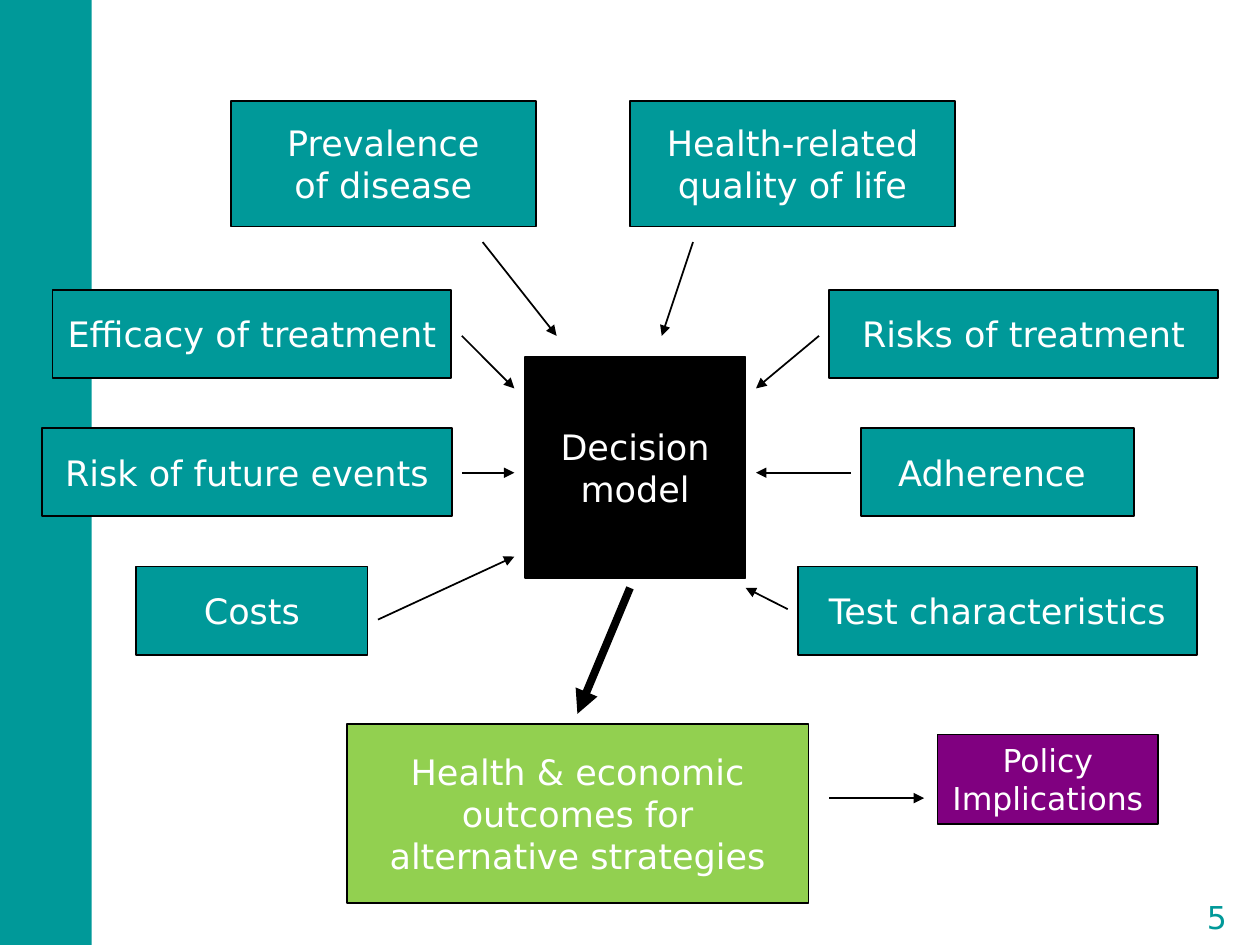
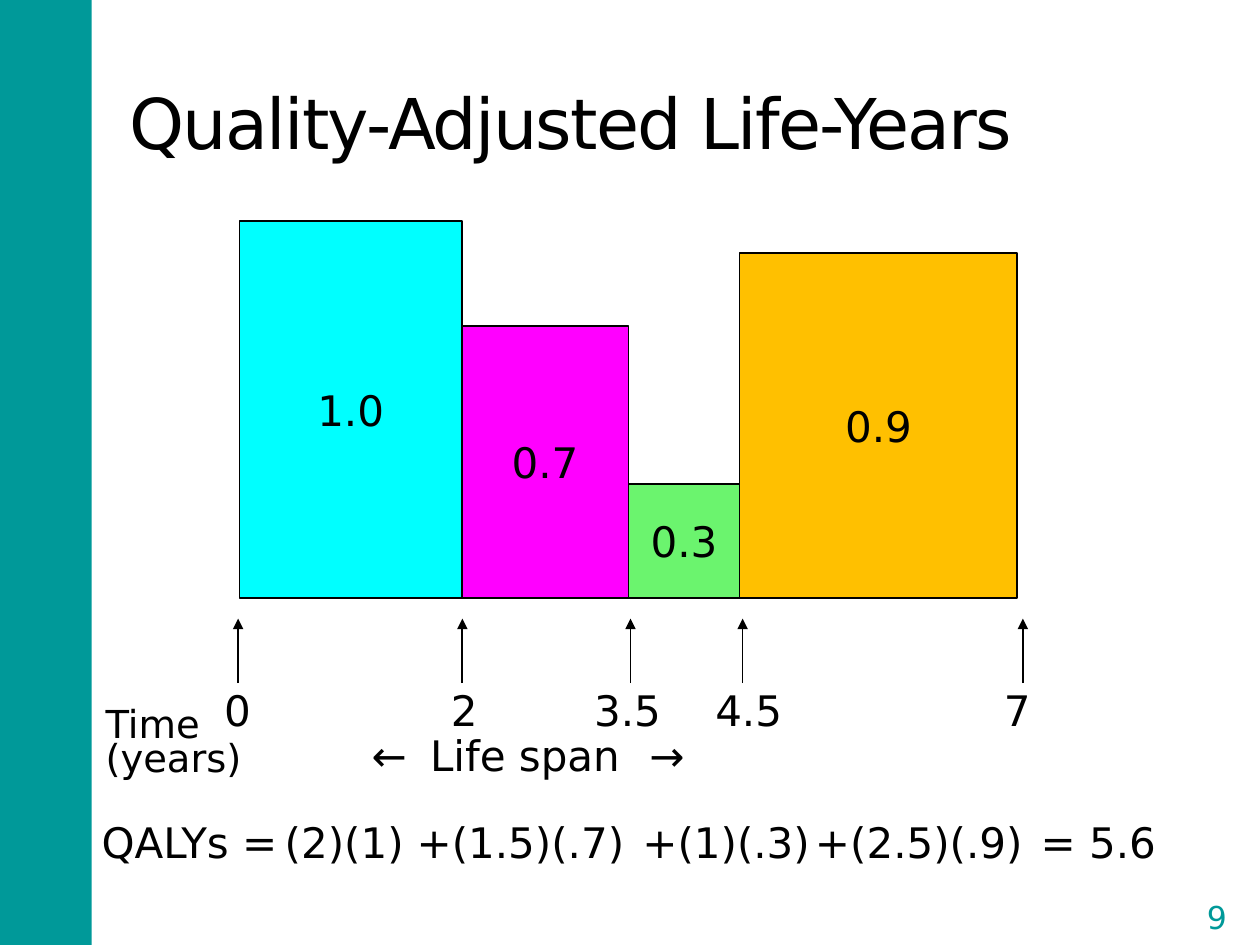
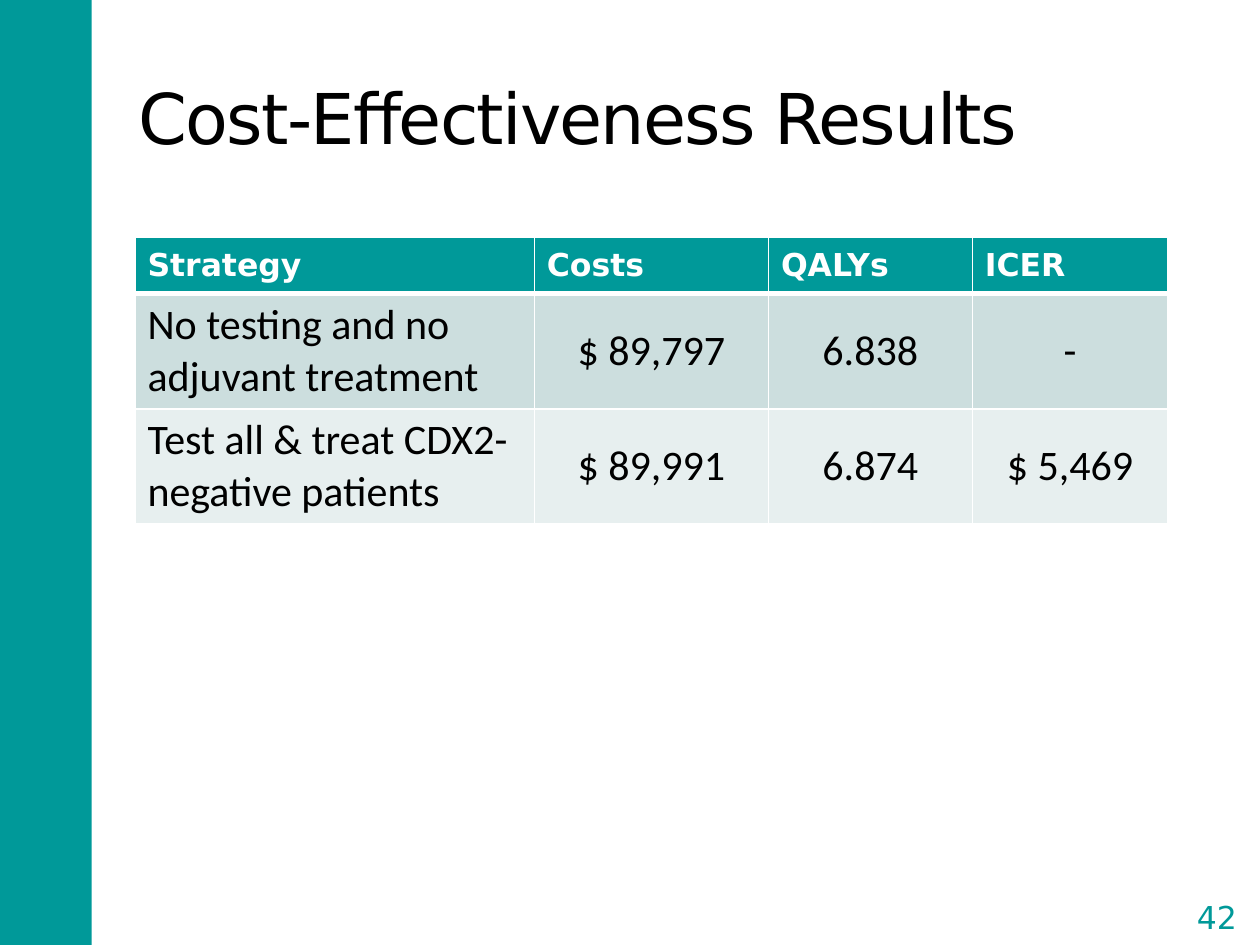
from dataclasses import dataclass

from lxml.etree import SubElement
from pptx import Presentation
from pptx.dml.color import RGBColor
from pptx.enum.shapes import MSO_CONNECTOR, MSO_SHAPE
from pptx.enum.text import MSO_ANCHOR, MSO_AUTO_SIZE, PP_ALIGN
from pptx.oxml.ns import qn
from pptx.util import Cm, Pt


@dataclass(frozen=True)
class Theme:
    # Colours
    teal: str = "009999"
    black: str = "000000"
    white: str = "FFFFFF"
    purple: str = "800080"
    green: str = "92D050"
    cyan: str = "00FFFF"
    magenta: str = "FF00FF"
    mint: str = "6BF46E"
    amber: str = "FFC000"
    row_tints: tuple = ("CCDEDE", "E7EFEF")
    # Fonts and type sizes
    font: str = "DejaVu Sans"
    cell_font: str = "Calibri"
    title: int = 40
    large: int = 24
    axis: int = 22
    box: int = 20
    small: int = 18


def apply(obj, values):
    for name, value in values.items():
        setattr(obj, name, value)


def rgb(color):
    return RGBColor.from_string(color)


class Deck:
    def __init__(self, theme):
        self.t = theme
        self.prs = Presentation()
        apply(self.prs, {"slide_width": Cm(25.4), "slide_height": Cm(19.05)})
        self.s = None

    def slide(self, number, title=None, at=None):
        layouts = self.prs.slide_layouts
        layout = layouts.get_by_name("Title Only" if title else "Blank")
        self.s = self.prs.slides.add_slide(layout)
        if len(self.prs.slides) == 1:
            self.band()
        if title:
            self.title(title, at)
        self.page_number(number)

    def band(self):
        # The side band belongs to the master, behind every slide
        sp = self.box("", (-0.05, 0, 1.9, 19.05), self.t.teal)
        sp.line.fill.background()
        self.prs.slide_master.shapes.element.insert(2, sp.element)

    def title(self, text, at):
        sp = self.s.shapes.title
        apply(sp, dict(zip(("left", "top", "width", "height"), map(Cm, at))))
        self.add_text(sp.text_frame, text, self.t.title, align=PP_ALIGN.LEFT)
        apply(sp.text_frame, {"auto_size": MSO_AUTO_SIZE.NONE,
                              "vertical_anchor": MSO_ANCHOR.MIDDLE})
        for r_pr in sp.element.iter(qn("a:rPr")):
            r_pr.set("spc", "-100")

    def page_number(self, number):
        sp = self.box(str(number), (23.77, 17.93, 1.52, 1.09), None,
                      size=self.t.small, color=self.t.teal,
                      shape=MSO_SHAPE.DOUBLE_BRACKET, line=(self.t.white, 1.5))
        sp.adjustments[0] = 0.18
        margins = ("margin_left", "margin_top", "margin_right", "margin_bottom")
        apply(sp.text_frame, dict.fromkeys(margins, 0))

    def add_text(self, tf, text, size, color=None, font=None, bold=False,
                 align=None, spacing=None):
        for i, words in enumerate(text.split("\n")):
            p = tf.add_paragraph() if i else tf.paragraphs[0]
            apply(p, {"alignment": align, "line_spacing": spacing})
            r = p.add_run()
            r.text = words
            apply(r.font, {"name": font or self.t.font, "size": Pt(size), "bold": bold})
            r.font.color.rgb = rgb(color or self.t.black)

    def box(self, text, at, fill, size=None, color=None, anchor=MSO_ANCHOR.MIDDLE,
            shape=MSO_SHAPE.RECTANGLE, line=None):
        sp = self.s.shapes.add_shape(shape, *map(Cm, at))
        sp.shadow.inherit = False
        if fill:
            sp.fill.solid()
            sp.fill.fore_color.rgb = rgb(fill)
        else:
            sp.fill.background()
        line_color, width = line or (self.t.black, 1)
        sp.line.color.rgb = rgb(line_color)
        sp.line.width = Pt(width)
        apply(sp.text_frame, {"word_wrap": False, "vertical_anchor": anchor})
        if text:
            self.add_text(sp.text_frame, text, size or self.t.box,
                          color or self.t.white, align=PP_ALIGN.CENTER)
        return sp

    def label(self, text, at, size=None, wrap=True, spacing=None, tabs=()):
        tf = self.s.shapes.add_textbox(*map(Cm, at)).text_frame
        tf.word_wrap = wrap
        if tabs:
            tab_list = SubElement(tf.paragraphs[0]._p.get_or_add_pPr(), qn("a:tabLst"))
            for pos in tabs:
                SubElement(tab_list, qn("a:tab"), pos=str(Cm(pos)), algn="l")
        self.add_text(tf, text, size or self.t.large, spacing=spacing)

    def line(self, ends, width=1, arrow=True):
        c = self.s.shapes.add_connector(MSO_CONNECTOR.STRAIGHT, *map(Cm, ends))
        c.line.color.rgb = rgb(self.t.black)
        c.line.width = Pt(width)
        if arrow:
            SubElement(c.line._get_or_add_ln(), qn("a:tailEnd"), type="triangle")
        SubElement(c.element.spPr, qn("a:effectLst"))

    def border(self, cell, sides):
        tc_pr = cell._tc.get_or_add_tcPr()
        for side, width in sides.items():
            ln = SubElement(tc_pr, qn(f"a:ln{side}"), w=str(Pt(width)))
            SubElement(SubElement(ln, qn("a:solidFill")), qn("a:srgbClr"), val=self.t.white)

    def table(self, at, widths, heights, rows):
        frame = self.s.shapes.add_table(len(rows), len(widths), *map(Cm, at))
        tbl = frame.table
        tbl.horz_banding = False
        for col, width in zip(tbl.columns, widths):
            col.width = Cm(width)
        for row, height in zip(tbl.rows, heights):
            row.height = Cm(height)
        head = {"size": self.t.small, "color": self.t.white, "bold": True}
        body = {"size": self.t.large, "font": self.t.cell_font}
        fills = (self.t.teal, *self.t.row_tints)
        for i, row in enumerate(rows):
            for j, text in enumerate(row):
                cell = tbl.cell(i, j)
                self.border(cell, {"L": 1, "R": 1, "T": 3 if i == 1 else 1,
                                   "B": 1 if i else 3})
                cell.fill.solid()
                cell.fill.fore_color.rgb = rgb(fills[i])
                cell.vertical_anchor = MSO_ANCHOR.MIDDLE
                align = PP_ALIGN.CENTER if i and j else PP_ALIGN.LEFT
                self.add_text(cell.text_frame, text, align=align, **(body if i else head))


def model_slide(d):
    t = d.t
    d.slide(5)
    # Model, outcomes and policy
    d.box("Decision\nmodel", (10.58, 7.2, 4.45, 4.45), t.black)
    d.box("Health & economic\noutcomes for\nalternative strategies",
          (6.99, 14.6, 9.31, 3.6), t.green)
    d.box("Policy\nImplications", (18.9, 14.81, 4.45, 1.8), t.purple,
          size=t.small, anchor=MSO_ANCHOR.TOP)
    # Inputs above the model
    for text, left, width in (("Prevalence\nof disease", 4.66, 6.14),
                              ("Health-related\nquality of life", 12.7, 6.56)):
        d.box(text, (left, 2.03, width, 2.54), t.teal)
    # Inputs on both sides, in three rows
    side_rows = (
        (("Efficacy of treatment", 1.06, 8.04), ("Risks of treatment", 16.72, 7.83)),
        (("Risk of future events", 0.85, 8.26), ("Adherence ", 17.36, 5.5)),
        (("Costs", 2.75, 4.66), ("Test characteristics", 16.09, 8.04)),
    )
    for i, row in enumerate(side_rows):
        for text, left, width in row:
            d.box(text, (left, 5.84 + i * 2.79, width, 1.78), t.teal)
    # Arrows
    for ends in ((9.73, 4.88, 11.22, 6.77), (13.97, 4.88, 13.34, 6.77),
                 (9.31, 6.77, 10.37, 7.83), (16.51, 6.77, 15.24, 7.83),
                 (9.31, 9.53, 10.37, 9.53), (17.15, 9.53, 15.24, 9.53),
                 (7.62, 12.49, 10.37, 11.22), (15.88, 12.28, 15.03, 11.85),
                 (16.72, 16.09, 18.63, 16.09)):
        d.line(ends)
    d.line((12.7, 11.85, 11.64, 14.39), width=4.5)


def qaly_slide(d):
    t = d.t
    d.slide(9, "Quality-Adjusted Life-Years", (2.36, 1.07, 20.32, 2.74))
    # Bars: width follows the years spent in each state
    base, left, year = 12.05, 4.83, 2.24
    for text, start, end, height, fill in (
            ("1.0", 0, 2, 7.59, t.cyan), ("0.7", 2, 3.5, 5.47, t.magenta),
            ("0.3", 3.5, 4.5, 2.29, t.mint), ("0.9", 4.5, 7, 6.95, t.amber)):
        at = (left + start * year, base - height, (end - start) * year, height)
        d.box(text, at, fill, size=t.large, color=t.black)
    d.line((4.88, base, 20.47, base), arrow=False)
    # Time axis
    for years, x, width in ((0, 4.27, 1.04), (2, 8.84, 1.04), (3.5, 11.73, 1.9),
                            (4.5, 14.17, 1.9), (7, 19.99, 1.04)):
        tick = 4.8 + years * 2.26
        d.line((tick, 13.77, tick, 12.47))
        d.label(str(years), (x, 13.92, width, 1.02), wrap=False, spacing=0.75)
    d.label("Time\n(years)", (1.88, 14.2, 3.86, 1.65), size=t.axis, spacing=0.75)
    d.label("←\tLife span\t→", (7.24, 14.58, 10.16, 1.27), tabs=(1.18, 5.6))
    # Sum of the weighted years
    for text, x, width in (("QALYs =", 1.8, 4.45), ("(2)(1)", 5.49, 3.5),
                           ("+(1.5)(.7)", 8.15, 5.2), ("+(1)(.3)", 12.7, 4.35),
                           ("+(2.5)(.9)", 16.18, 5.25), ("= 5.6", 20.73, 4.6)):
        d.label(text, (x, 16.33, width, 1.27))


def results_slide(d):
    d.slide(42, "Cost-Effectiveness Results", (2.54, 0.76, 21.16, 3.18))
    d.table((2.72, 4.78, 20.82, 5.72), (8.05, 4.72, 4.11, 3.94), (1.14, 2.29, 2.29), (
        ("Strategy", "Costs", "QALYs", "ICER"),
        ("No testing and no adjuvant treatment", "$ 89,797", "6.838", "-"),
        ("Test all & treat CDX2-negative patients", "$ 89,991", "6.874", "$ 5,469"),
    ))


def main():
    d = Deck(Theme())
    model_slide(d)
    qaly_slide(d)
    results_slide(d)
    d.prs.save("out.pptx")


if __name__ == "__main__":
    main()
